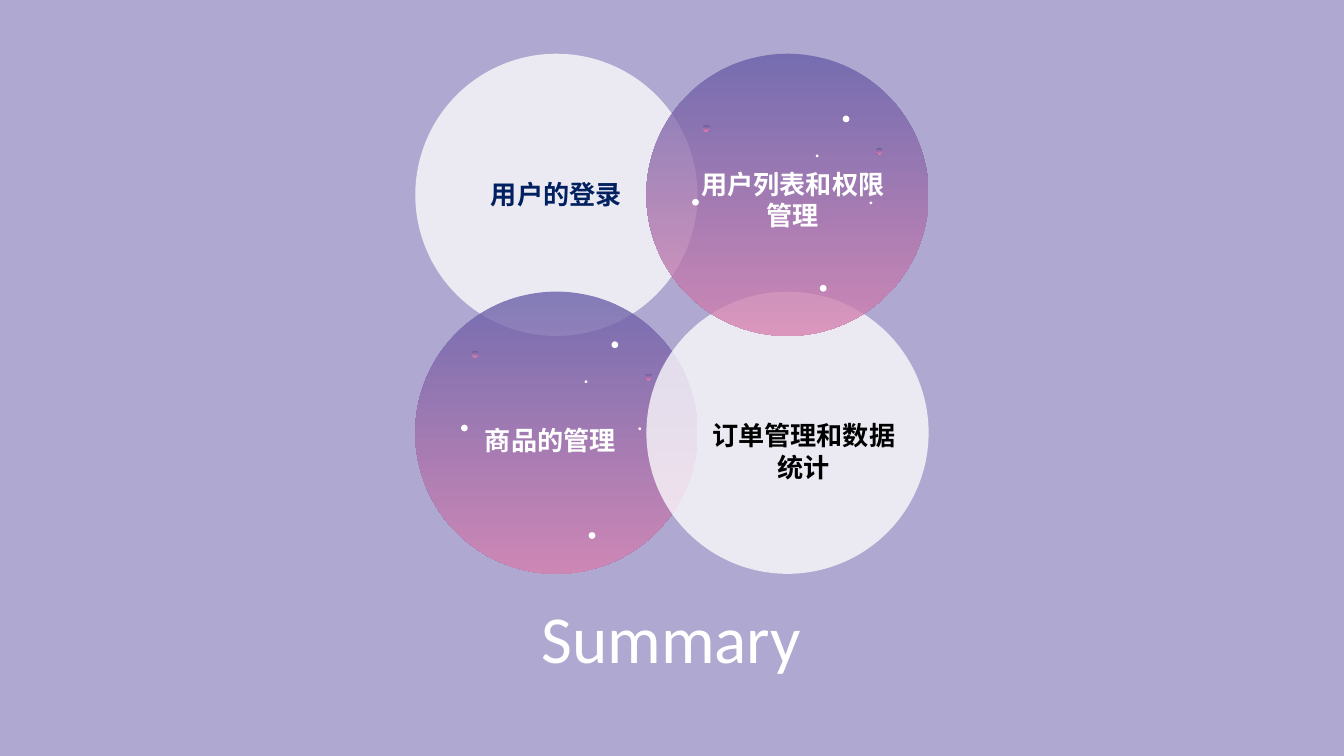
from dataclasses import dataclass

from lxml.etree import SubElement
from pptx import Presentation
from pptx.dml.color import RGBColor
from pptx.enum.shapes import MSO_SHAPE as Shape
from pptx.enum.text import MSO_ANCHOR as Anchor, PP_ALIGN as Align
from pptx.oxml.ns import qn
from pptx.util import Inches, Pt


@dataclass(frozen=True)
class Theme:
    background: str = "AFA8D0"
    white: str = "FFFFFF"
    navy: str = "002060"
    black: str = "000000"
    gradient: tuple = ("645CA7", "D77EAD")
    circle_opacity: int = 76
    title_font: str = "Calibri"
    label_font: str = "Arial"
    title_size: int = 36
    label_size: int = 14


class SummaryPage:
    def __init__(self, deck, theme):
        self.theme = theme
        self.slide = deck.slides.add_slide(deck.slide_layouts[6])
        fill = self.slide.background.fill
        fill.solid()
        fill.fore_color.rgb = RGBColor.from_string(theme.background)

    def circle(self, left, top, size, graded=False, opacity=100, parent=None):
        shapes = (parent or self.slide).shapes
        disc = shapes.add_shape(Shape.OVAL, Inches(left), Inches(top), Inches(size), Inches(size))
        disc.shadow.inherit = False
        disc.line.fill.background()
        if graded:
            disc.fill.gradient()
            disc.fill.gradient_angle = 270
            for stop, position, color in zip(disc.fill.gradient_stops, (0, 1), self.theme.gradient):
                stop.position = position
                stop.color.rgb = RGBColor.from_string(color)
        else:
            disc.fill.solid()
            disc.fill.fore_color.rgb = RGBColor.from_string(self.theme.white)
        if opacity < 100:
            for color in disc.element.spPr.iter(qn("a:srgbClr")):
                SubElement(color, qn("a:alpha"), val=str(opacity * 1000))

    def stars(self, left, top, low_star):
        """Scatter the stars of one graded circle; low_star is the lowest one's offset."""
        group = self.slide.shapes.add_group_shape()
        for x, y, size, graded in (
            (0.34, 1.08, 0.05, False),
            (1.46, 0.46, 0.05, False),
            (1.66, 1.1, 0.02, False),
            (1.29, low_star, 0.05, False),
            (1.71, 0.7, 0.05, True),
            (0.42, 0.53, 0.05, True),
            (1.26, 0.75, 0.02, False),
        ):
            self.circle(left + x, top + y, size, graded, parent=group)

    def text(self, words, left, top, width, height, color, font, size,
             bold=False, align=Align.CENTER, spacing=None):
        box = self.slide.shapes.add_textbox(Inches(left), Inches(top), Inches(width), Inches(height))
        frame = box.text_frame
        frame.word_wrap = True
        frame.vertical_anchor = Anchor.BOTTOM
        frame.margin_left = frame.margin_right = Inches(0.1)
        frame.margin_top = frame.margin_bottom = Inches(0.1)
        para = frame.paragraphs[0]
        para.text = words
        para.alignment = align
        if spacing:
            para.line_spacing = spacing
        para.font.name = font
        para.font.size = Pt(size)
        para.font.bold = bold
        para.font.color.rgb = RGBColor.from_string(color)

    def label(self, words, left, top, width, height, color, **layout):
        self.text(words, left, top, width, height, color,
                  self.theme.label_font, self.theme.label_size, bold=True, **layout)

    def title(self, words, left, top, width, height):
        self.text(words, left, top, width, height, self.theme.white,
                  self.theme.title_font, self.theme.title_size)


def main():
    # Widescreen page, 16:9
    deck = Presentation()
    deck.slide_width = Inches(10)
    deck.slide_height = deck.slide_width * 9 // 16
    theme = Theme()
    page = SummaryPage(deck, theme)

    # Four overlapping circles
    west, east = 3.09, 4.81
    north, south = 0.4, 2.17
    for left, top, graded in (
        (west, north, False),
        (west, south, True),
        (east, south, False),
        (east, north, True),
    ):
        page.circle(left, top, 2.1, graded, theme.circle_opacity)

    # Stars on the graded circles
    page.stars(east, north, low_star=1.72)
    page.stars(west, south - 0.09, low_star=1.88)

    # Title and circle labels
    page.title("Summary", 0.98, 4.51, 8.03, 0.63)
    page.label("商品的管理", 3.51, 3.11, 1.62, 0.38, theme.white, align=Align.LEFT, spacing=1.5)
    page.label("用户的登录", 3.33, 1.28, 1.62, 0.38, theme.navy)
    page.label("订单管理和数据统计", 5.17, 3.31, 1.62, 0.38, theme.black)
    page.label("用户列表和权限管理", 5.05, 1.27, 1.7, 0.55, theme.white)

    deck.save("out.pptx")


if __name__ == "__main__":
    main()
